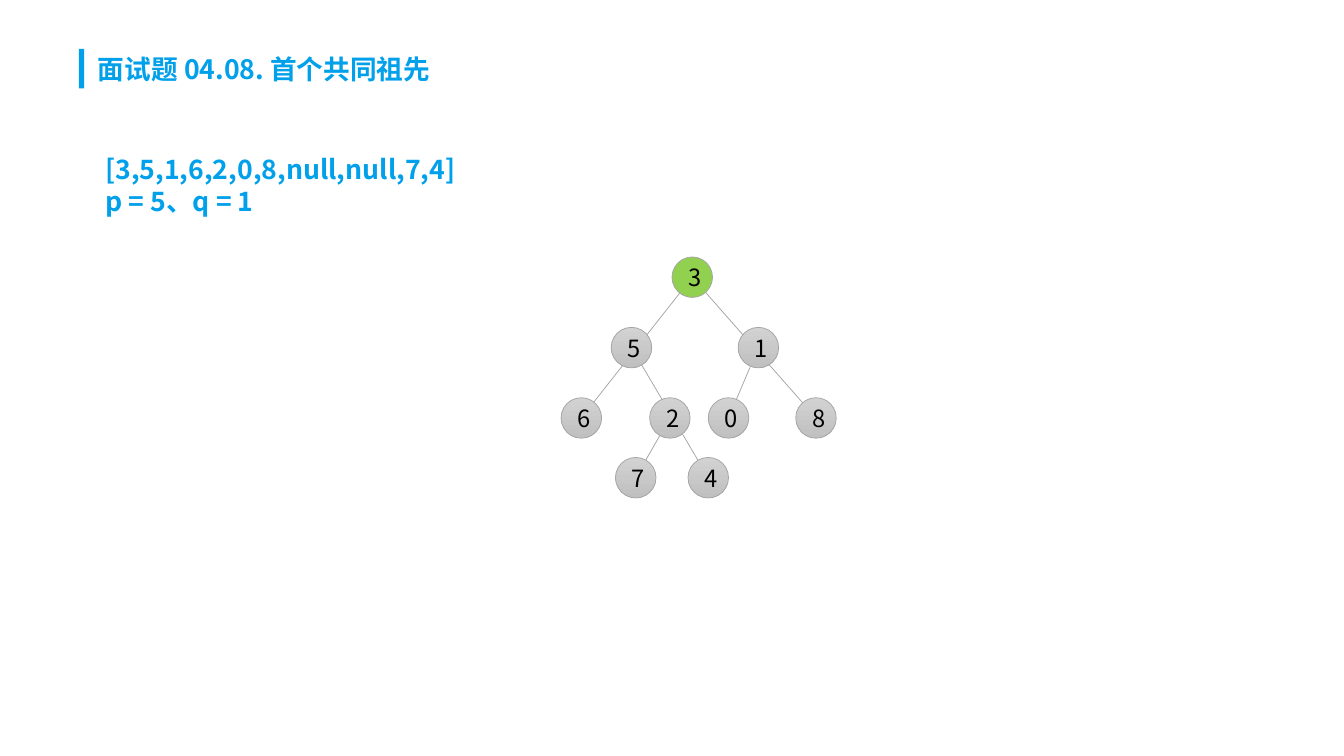
from dataclasses import dataclass

from lxml.etree import SubElement
from pptx import Presentation
from pptx.dml.color import RGBColor
from pptx.enum.shapes import MSO_CONNECTOR, MSO_SHAPE
from pptx.enum.text import MSO_ANCHOR, MSO_AUTO_SIZE, PP_ALIGN
from pptx.oxml.ns import qn
from pptx.slide import Slide
from pptx.util import Inches, Length, Pt


@dataclass(frozen=True)
class Theme:
    font: str = "Noto Sans CJK JP"
    blue: str = "00A0EA"
    green: str = "92D050"
    line: str = "A5A5A5"
    light: str = "D2D2D2"
    dark: str = "C0C0C0"
    ink: str = "000000"
    head: float = 18
    label: float = 16
    thin: float = 0.5


@dataclass(frozen=True)
class Node:
    text: str
    col: float
    level: int
    found: bool = False


@dataclass(frozen=True)
class Note:
    lines: tuple[str, ...]
    col: float
    row: float
    wide: float
    high: float


THEME = Theme()
COLS, ROWS = 126, 70.9
SIZE = 3.8
LEVELS = (26, 32.6, 39.2, 44.8)
NODES = (
    Node("3", 64.9, 0, True),
    Node("5", 59.2, 1),
    Node("1", 71.1, 1),
    Node("6", 54.5, 2),
    Node("2", 62.8, 2),
    Node("0", 68.3, 2),
    Node("8", 76.5, 2),
    Node("7", 59.6, 3),
    Node("4", 66.4, 3),
)
EDGES = (("2", "7"), ("5", "4"), ("1", "0"), ("3", "8"), ("3", "6"))
NOTES = (
    Note(("面试题 04.08. 首个共同祖先",), 8.2, 4.5, 62.9, 4),
    Note(("[3,5,1,6,2,0,8,null,null,7,4]", "p = 5、q = 1"), 8.9, 13.8, 35, 7.1),
)


def grid(*cells: float) -> list[Length]:
    return [Inches(cell / 10) for cell in cells]


def tint(code: str) -> RGBColor:
    return RGBColor.from_string(code)


def add_run(para, text: str, size: float, color: str, bold: bool = False) -> None:
    run = para.add_run()
    run.text = text
    font = run.font
    font.size, font.bold, font.name = Pt(size), bold, THEME.font
    font.color.rgb = tint(color)
    SubElement(font._element, qn("a:ea")).set("typeface", THEME.font)


def draw_bar(slide: Slide) -> None:
    bar = slide.shapes.add_shape(MSO_SHAPE.RECTANGLE, *grid(7.4, 4.6, 0.5, 3.7))
    bar.shadow.inherit = False
    bar.fill.solid()
    bar.fill.fore_color.rgb = tint(THEME.blue)
    bar.line.fill.background()


def draw_note(slide: Slide, note: Note) -> None:
    box = slide.shapes.add_textbox(*grid(note.col, note.row, note.wide, note.high))
    frame = box.text_frame
    frame.word_wrap = True
    frame.auto_size = MSO_AUTO_SIZE.SHAPE_TO_FIT_TEXT
    for index, line in enumerate(note.lines):
        para = frame.add_paragraph() if index else frame.paragraphs[0]
        add_run(para, line, THEME.head, THEME.blue, True)


def draw_edge(slide: Slide, start: Node, end: Node) -> None:
    ends = grid(start.col, LEVELS[start.level], end.col, LEVELS[end.level])
    edge = slide.shapes.add_connector(MSO_CONNECTOR.STRAIGHT, *ends)
    edge.line.color.rgb = tint(THEME.line)
    edge.line.width = Pt(THEME.thin)
    SubElement(edge._element.spPr, qn("a:effectLst"))


def draw_node(slide: Slide, node: Node) -> None:
    left, top = node.col - SIZE / 2, LEVELS[node.level] - SIZE / 2
    disc = slide.shapes.add_shape(MSO_SHAPE.OVAL, *grid(left, top, SIZE, SIZE))
    disc.shadow.inherit = False
    if node.found:
        disc.fill.solid()
        disc.fill.fore_color.rgb = tint(THEME.green)
    else:
        disc.fill.gradient()
        disc.fill.gradient_angle = 270
        for stop, shade in zip(disc.fill.gradient_stops, (THEME.light, THEME.dark)):
            stop.color.rgb = tint(shade)
    disc.line.color.rgb = tint(THEME.line)
    disc.line.width = Pt(THEME.thin)
    frame = disc.text_frame
    frame.vertical_anchor = MSO_ANCHOR.MIDDLE
    para = frame.paragraphs[0]
    para.alignment = PP_ALIGN.CENTER
    add_run(para, node.text, THEME.label, THEME.ink)


def main() -> None:
    deck = Presentation()
    deck.slide_width, deck.slide_height = grid(COLS, ROWS)
    slide = deck.slides.add_slide(deck.slide_layouts[6])
    draw_bar(slide)
    for note in NOTES:
        draw_note(slide, note)
    tree = {node.text: node for node in NODES}
    for start, end in EDGES:
        draw_edge(slide, tree[start], tree[end])
    for node in NODES:
        draw_node(slide, node)
    deck.save("out.pptx")


if __name__ == "__main__":
    main()
